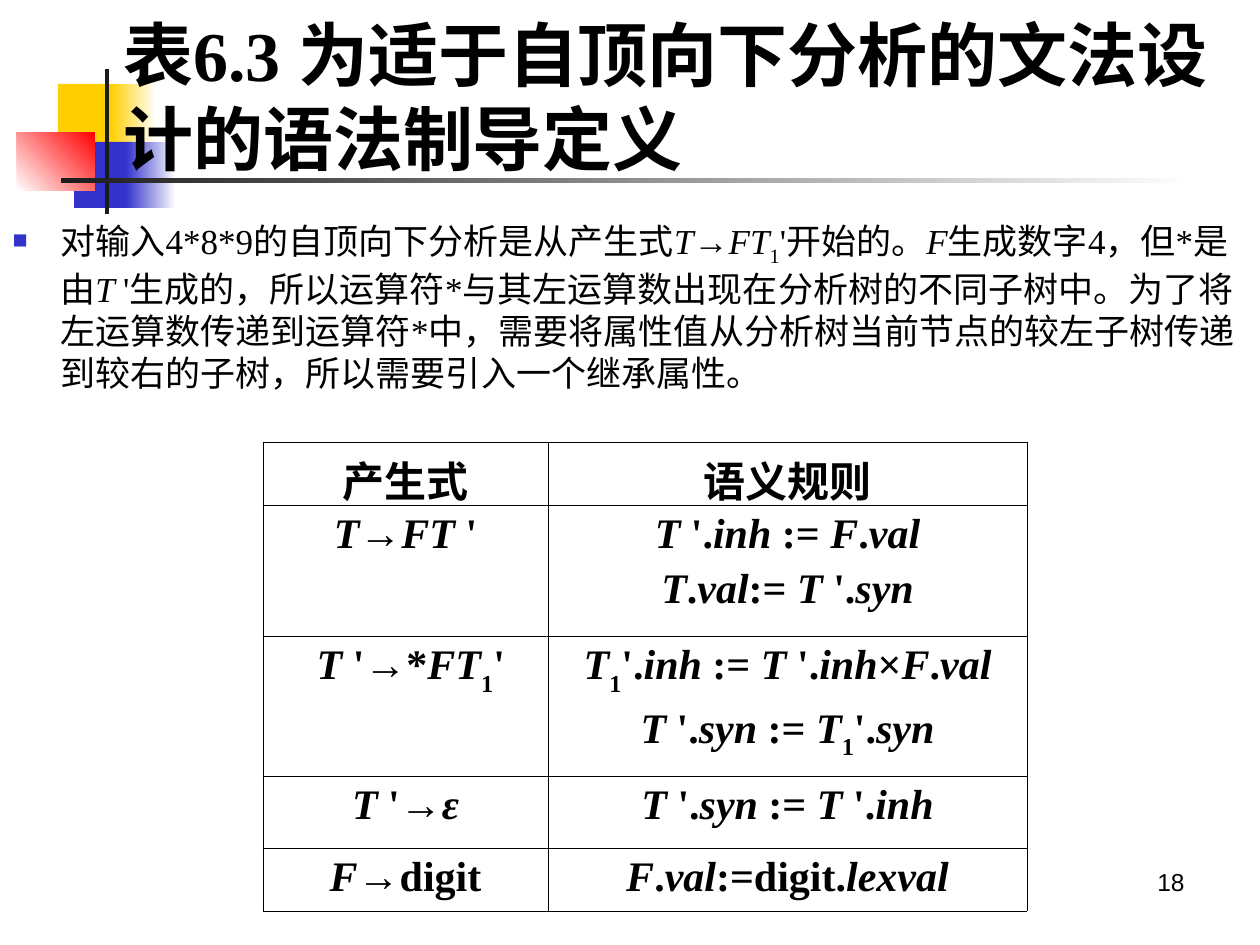
import pptx
import pptx.util
from lxml import etree
from pptx.dml.color import RGBColor
from pptx.enum.shapes import MSO_SHAPE
from pptx.enum.text import MSO_ANCHOR, PP_ALIGN
from pptx.oxml.ns import qn

PX = 914400 / 126
COLORS = {"text": "000000", "white": "FFFFFF", "yellow": "FFCF01",
          "blue": "3333CC", "red": "FF0000", "dark": "1C1C1C"}
SERIF = "Times New Roman"


def emu(px):
    return pptx.util.Emu(round(px * PX))


def rgb(name):
    return RGBColor.from_string(COLORS[name])


class Deck:
    def __init__(self, width, height):
        self.prs = pptx.Presentation()
        self.prs.slide_width, self.prs.slide_height = emu(width), emu(height)
        self.slide = self.prs.slides.add_slide(self.prs.slide_layouts[6])

    def block(self, box, color, end=None, angle=0):
        """Rectangle in one colour, or fading from color to end."""
        shape = self.slide.shapes.add_shape(MSO_SHAPE.RECTANGLE, *map(emu, box))
        shape.shadow.inherit = False
        shape.line.fill.background()
        if end:
            shape.fill.gradient()
            shape.fill.gradient_angle = angle
            for stop, name in zip(shape.fill.gradient_stops, (color, end)):
                stop.color.rgb = rgb(name)
        else:
            shape.fill.solid()
            shape.fill.fore_color.rgb = rgb(color)

    def style(self, paragraph, size, bold=False, font=SERIF):
        paragraph.font.size = pptx.util.Pt(size)
        paragraph.font.bold = bold
        paragraph.font.name = font
        paragraph.font.color.rgb = rgb("text")

    def formula(self, paragraph, marked, drop=-30):
        """Add runs: _x_ is italic, ~x~ is subscript."""
        for i, piece in enumerate(marked.split("_")):
            for j, words in enumerate(piece.split("~")):
                if words:
                    run = paragraph.add_run()
                    run.text = words
                    if i % 2:
                        run.font.italic = True
                    if j % 2:
                        run.font._element.set("baseline", str(drop * 1000))

    def text(self, box, anchor=MSO_ANCHOR.TOP):
        frame = self.slide.shapes.add_textbox(*map(emu, box)).text_frame
        frame.word_wrap = True
        frame.vertical_anchor = anchor
        return frame.paragraphs[0]

    def bullet(self, paragraph, char, color, percent, indent):
        props = paragraph._p.get_or_add_pPr()
        props.set("marL", str(emu(indent)))
        props.set("indent", str(-emu(indent)))
        bullet_color = etree.SubElement(props, qn("a:buClr"))
        etree.SubElement(bullet_color, qn("a:srgbClr"), val=COLORS[color])
        etree.SubElement(props, qn("a:buSzPct"), val=str(percent * 1000))
        etree.SubElement(props, qn("a:buChar"), char=char)

    def border(self, cell):
        props = cell._tc.get_or_add_tcPr()
        for i, side in enumerate(("a:lnL", "a:lnR", "a:lnT", "a:lnB")):
            line = etree.Element(qn(side), w=str(pptx.util.Pt(0.45)))
            fill = etree.SubElement(line, qn("a:solidFill"))
            etree.SubElement(fill, qn("a:srgbClr"), val=COLORS["text"])
            props.insert(i, line)

    def table(self, left, top, widths, heights, rows):
        table = self.slide.shapes.add_table(
            len(rows), len(widths),
            *map(emu, (left, top, sum(widths), sum(heights)))).table
        table.first_row = table.horz_banding = False
        for column, width in zip(table.columns, widths):
            column.width = emu(width)
        for row, height, contents in zip(table.rows, heights, rows):
            row.height = emu(height)
            for cell, content in zip(row.cells, contents):
                cell.fill.background()
                self.border(cell)
                for i, line in enumerate(content.split("\n")):
                    frame = cell.text_frame
                    paragraph = frame.add_paragraph() if i else frame.paragraphs[0]
                    paragraph.alignment = PP_ALIGN.CENTER
                    if i:
                        paragraph.space_before = pptx.util.Pt(4.8)
                    self.style(paragraph, 24, bold=True)
                    self.formula(paragraph, line)


def main():
    deck = Deck(1260, 945)

    # Corner ornament and title rule
    deck.block((58, 84, 60, 66), "yellow")
    deck.block((111, 84, 45, 66), "yellow", "white")
    deck.block((74, 142, 58, 66), "blue")
    deck.block((126, 142, 50, 66), "blue", "white")
    deck.block((17, 132, 78, 59), "white", "red", angle=45)
    deck.block((105, 69, 4, 145), "dark")
    deck.block((61, 178, 1134, 5), "dark", "white")

    # Page number
    page_number = deck.text((903, 861, 294, 66))
    page_number.alignment = PP_ALIGN.RIGHT
    deck.style(page_number, 14, font="Arial")
    deck.formula(page_number, "18")

    # Title
    title = deck.text((111, 16, 1134, 159), MSO_ANCHOR.MIDDLE)
    deck.style(title, 40, bold=True)
    for words, font in (("表6.3 ", SERIF),
                        ("为适于自顶向下分析的文法设计的语法制导定义", "Roboto")):
        run = title.add_run()
        run.text = words
        run.font.name = font

    # Productions and their semantic rules
    deck.table(263, 442, (285, 479), (63, 131, 131, 72, 63), (
        ("产生式", "语义规则"),
        ("_T_→_FT _'", "_T _'._inh_ := _F_._val_\n_T_._val_:=_ T _'._syn_"),
        ("_ T _'→*_FT_~1~'",
         "_T_~1~'._inh_ := _T _'._inh_×_F_._val_\n_T _'._syn _:=_ T_~1~'._syn_"),
        ("_T _'→_ε_", "_T _'._syn_ := _T _'._inh_"),
        ("_F_→digit", "_F_._val_:=digit._lexval_"),
    ))

    # Explanation
    explanation = deck.text((0, 213, 1260, 307))
    deck.bullet(explanation, "■", "blue", 60, 48)
    deck.style(explanation, 20)
    deck.formula(
        explanation,
        "对输入4*8*9的自顶向下分析是从产生式_T_→_FT_~1~'开始的。_F_生成数字4，"
        "但*是由_T _'生成的，所以运算符*与其左运算数出现在分析树的不同子树中。"
        "为了将左运算数传递到运算符*中，需要将属性值从分析树当前节点的较左子树"
        "传递到较右的子树，所以需要引入一个继承属性。", drop=-25)

    deck.prs.save("out.pptx")


if __name__ == "__main__":
    main()
